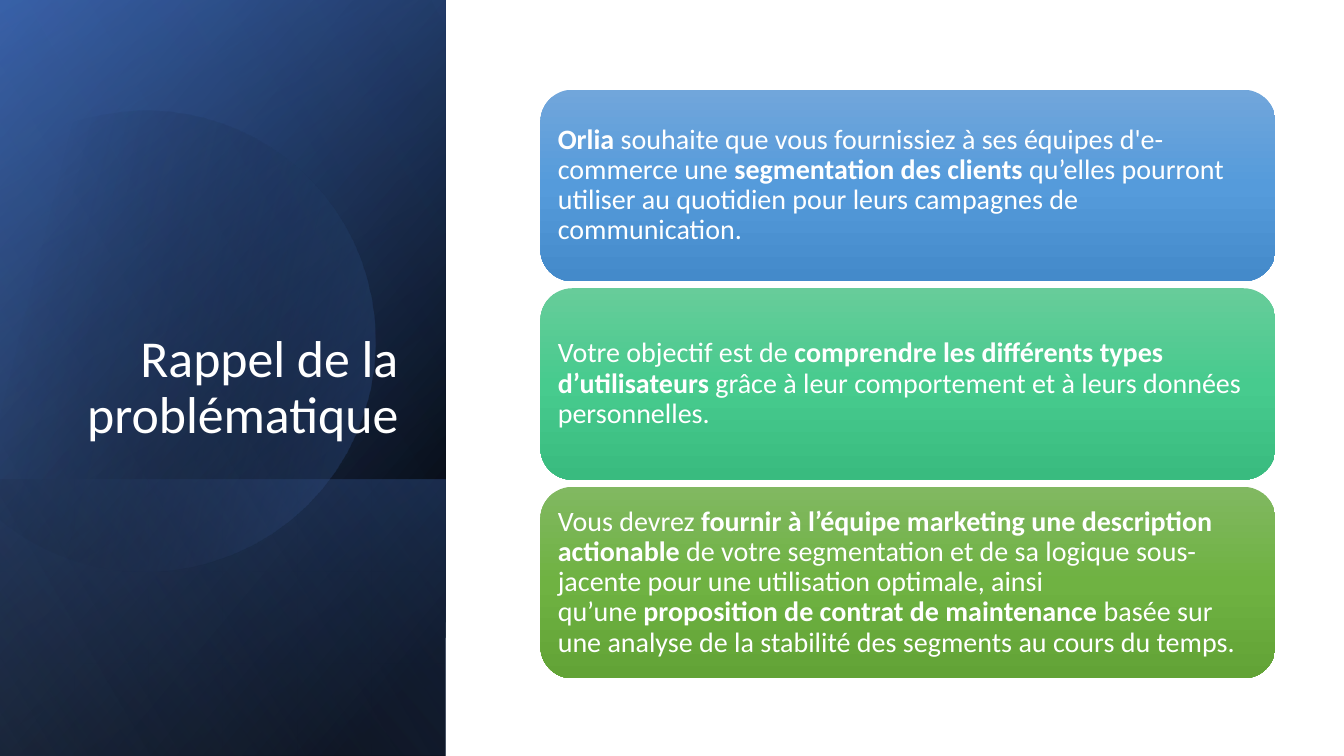
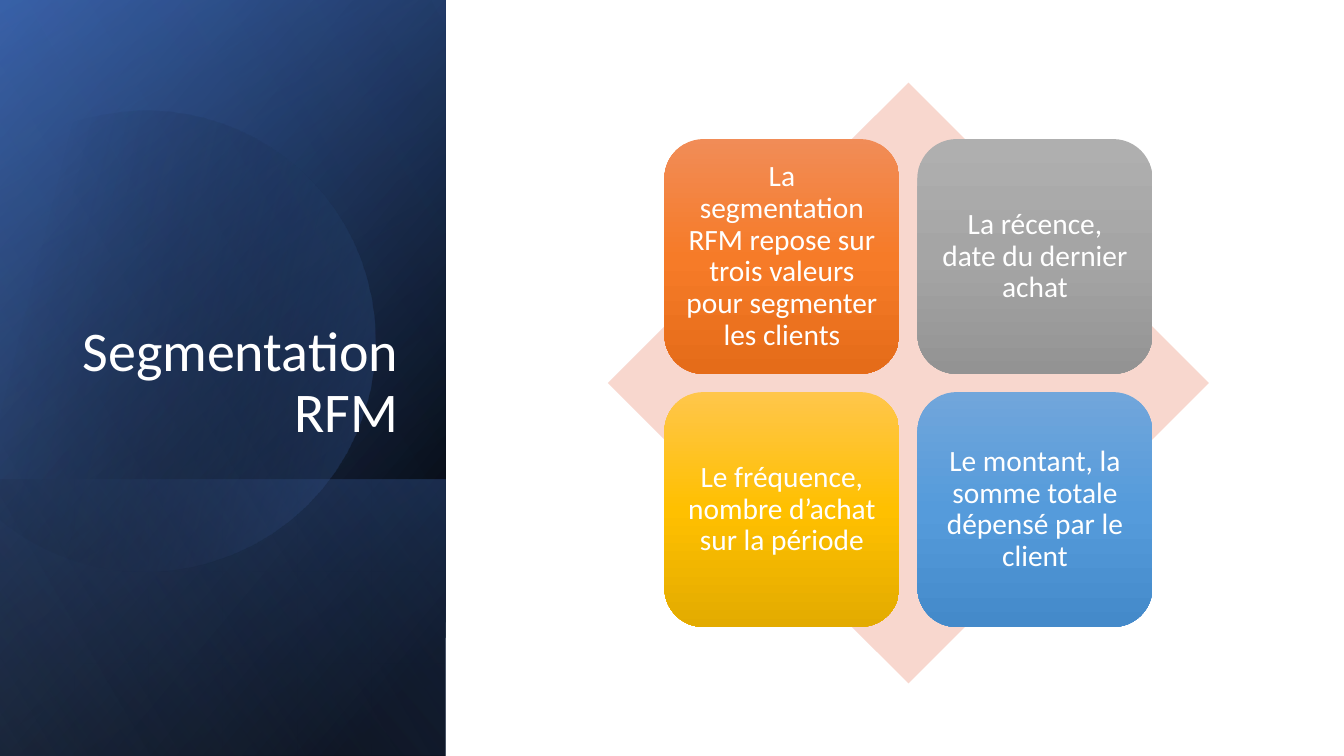
from math import cos, radians, sin

from lxml.etree import SubElement
from pptx import Presentation
from pptx.dml.color import RGBColor
from pptx.enum.shapes import MSO_SHAPE as Shape
from pptx.enum.text import MSO_ANCHOR as Anchor, MSO_AUTO_SIZE as AutoSize, PP_ALIGN as Align
from pptx.oxml.ns import qn
from pptx.util import Inches, Pt

# Content: plain and bold runs; a no-break space joins neighbouring runs
PROBLEM_CARDS = [
    ("blue", [("Orlia", True),
              ("souhaite que vous fournissiez à ses équipes d'e-commerce une", False),
              ("segmentation des clients", True),
              ("qu’elles pourront utiliser au quotidien pour leurs campagnes de communication.", False)]),
    ("mint", [("Votre objectif est de", False),
              ("comprendre les différents types d’utilisateurs", True),
              ("grâce à leur comportement et à leurs données personnelles.", False)]),
    ("green", [("Vous devrez", False),
               ("fournir à l’équipe marketing une description actionable", True),
               ("de votre segmentation et de sa logique sous-jacente pour une utilisation optimale, ainsi qu’une", False),
               ("proposition de contrat de maintenance", True),
               ("basée sur une analyse de la stabilité des segments au cours du temps.", False)]),
]
RFM_CARDS = [
    ("orange", "La segmentation RFM repose sur trois valeurs pour segmenter les clients"),
    ("grey", "La récence, date du dernier achat"),
    ("yellow", "Le fréquence, nombre d’achat sur la période"),
    ("blue", "Le montant, la somme totale dépensé par le client"),
]

# Shared style
FONT = "Calibri"
NO_BREAK_SPACE = chr(160)
COLORS = {"white": "FFFFFF", "black": "000000", "navy": "2F5597",
          "accent": "4472C4", "pale": "8FAADC", "diamond": "F8D7CE"}
CARD_GRADIENTS = {
    "blue": ("71A6DB", "559BDB", "448ACA"),
    "mint": ("67CC9A", "47CB8E", "39BB7F"),
    "green": ("81B861", "6FB242", "62A336"),
    "orange": ("F18C57", "F67B28", "E56C19"),
    "grey": ("AFAFAF", "A5A5A5", "939393"),
    "yellow": ("FFC64B", "FFC000", "E3AB00"),
}
SLIDE_WIDTH, SLIDE_HEIGHT = 13.33, 7.5
PANEL_WIDTH = 4.42
FOOT_HEIGHT = 2.74

# Panel layers: height from the bottom, angle, stops (position, colour, opacity)
BACK_LAYERS = [
    (SLIDE_HEIGHT, 50, [(8, "black", 100), (100, "navy", 100)]),
    (SLIDE_HEIGHT, 30, [(0, "black", 0), (99, "accent", 46)]),
    (FOOT_HEIGHT, 130, [(2, "accent", 29), (100, "black", 30)]),
]
FRONT_LAYER = (SLIDE_HEIGHT, 120, [(0, "black", 0), (99, "pale", 11)])

# Disc outline: two-number items are corners, six-number items are curves
DISC_START = (1.49, 1.1)
DISC_OUTLINE = [
    (2.46, 1.12, 3.35, 1.77, 3.63, 2.75), (3.98, 3.97, 3.28, 5.23, 2.07, 5.58),
    (1.31, 5.8, 0.53, 5.61, -0.03, 5.14), (-0.15, 5.03), (-0.15, 1.75), (0, 1.61),
    (0.23, 1.42, 0.5, 1.28, 0.8, 1.19), (1.03, 1.13, 1.26, 1.1, 1.49, 1.1),
]
DISC_CENTER = (1.58, 3.35)
DISC_ROTATION = 343.9
DISC_STOPS = [(29, "black", 0), (100, "accent", 43)]


def fill_gradient(shape, stops, angle):
    """Fill with a linear gradient; stops are (percent, hex, opacity)."""
    shape.fill.background()
    properties = shape._element.spPr
    empty_fill = properties.find(qn("a:noFill"))
    gradient = SubElement(properties, qn("a:gradFill"), rotWithShape="1")
    stop_list = SubElement(gradient, qn("a:gsLst"))
    for position, color, opacity in stops:
        stop = SubElement(stop_list, qn("a:gs"), pos=str(position * 1000))
        rgb = SubElement(stop, qn("a:srgbClr"), val=color)
        if opacity < 100:
            SubElement(rgb, qn("a:alpha"), val=str(opacity * 1000))
    SubElement(gradient, qn("a:lin"), ang=str(angle * 60000), scaled="0")
    properties.replace(empty_fill, gradient)


def named(stops):
    return [(position, COLORS[color], opacity) for position, color, opacity in stops]


def add_plain_shape(slide, kind, left, top, width, height):
    shape = slide.shapes.add_shape(kind, *map(Inches, (left, top, width, height)))
    shape.shadow.inherit = False
    shape.line.fill.background()
    return shape


def write(shape, runs, size, align, anchor):
    frame = shape.text_frame
    frame.word_wrap = True
    frame.auto_size = AutoSize.NONE
    frame.vertical_anchor = anchor
    paragraph = frame.paragraphs[0]
    paragraph.alignment = align
    paragraph.line_spacing = 0.9
    for text, bold in runs:
        run = paragraph.add_run()
        run.text = text
        run.font.name = FONT
        run.font.size = Pt(size)
        run.font.bold = bold
        run.font.color.rgb = RGBColor.from_string(COLORS["white"])


# Side panel
def add_layer(slide, height, angle, stops):
    """A quarter-turned, mirrored rectangle standing on the slide's bottom."""
    left = (PANEL_WIDTH - height) / 2
    top = SLIDE_HEIGHT - (height + PANEL_WIDTH) / 2
    layer = add_plain_shape(slide, Shape.RECTANGLE, left, top, height, PANEL_WIDTH)
    layer.rotation = 90
    layer._element.spPr.xfrm.set("flipH", "1")
    fill_gradient(layer, named(stops), angle)


def disc_points(steps=16):
    points = [DISC_START]
    for item in DISC_OUTLINE:
        if len(item) == 2:
            points.append(item)
            continue
        corners = [points[-1], item[:2], item[2:4], item[4:]]
        for step in range(1, steps + 1):
            t = step / steps
            weights = ((1 - t) ** 3, 3 * t * (1 - t) ** 2, 3 * t * t * (1 - t), t ** 3)
            points.append(tuple(sum(w * corner[axis] for w, corner in zip(weights, corners))
                                for axis in (0, 1)))
    return points


def add_disc(slide):
    """Turn the outline back, so the shape's own rotation restores it."""
    turn = radians(360 - DISC_ROTATION)
    center_x, center_y = DISC_CENTER
    points = []
    for x, y in disc_points():
        dx, dy = x - center_x, y - center_y
        points.append((Inches(center_x + dx * cos(turn) - dy * sin(turn)),
                       Inches(center_y + dx * sin(turn) + dy * cos(turn))))
    builder = slide.shapes.build_freeform(*points[0])
    builder.add_line_segments(points[1:], close=True)
    disc = builder.convert_to_shape()
    disc.shadow.inherit = False
    disc.line.fill.background()
    disc.rotation = DISC_ROTATION
    fill_gradient(disc, named(DISC_STOPS), 30)


def add_titled_slide(presentation, text, size):
    slide = presentation.slides.add_slide(presentation.slide_layouts[5])
    for layer in BACK_LAYERS:
        add_layer(slide, *layer)
    add_disc(slide)
    add_layer(slide, *FRONT_LAYER)
    title = slide.shapes.title
    title.left, title.top, title.width, title.height = map(Inches, (0.64, 1.84, 3.41, 2.62))
    write(title, [(text, False)], size, Align.RIGHT, Anchor.BOTTOM)
    slide.shapes._spTree.append(title._element)  # bring in front of the panel
    return slide


# Cards
def add_card(slide, box, color, runs, size, align, inset):
    card = add_plain_shape(slide, Shape.ROUNDED_RECTANGLE, *box)
    stops = zip((0, 50, 100), CARD_GRADIENTS[color], (100, 100, 100))
    fill_gradient(card, stops, 90)
    frame = card.text_frame
    frame.margin_left = frame.margin_right = Inches(inset)
    frame.margin_top = frame.margin_bottom = Inches(inset)
    write(card, runs, size, align, Anchor.MIDDLE)


def join_runs(runs):
    """Put a no-break space on the plain side of each change of weight."""
    last = len(runs) - 1
    for index, (text, bold) in enumerate(runs):
        if not bold:
            text = (NO_BREAK_SPACE * (index > 0)) + text + (NO_BREAK_SPACE * (index < last))
        yield text, bold


def build_problem_slide(presentation):
    slide = add_titled_slide(presentation, "Rappel de la problématique", 37)
    left, top, width, height, gap = 5.36, 0.89, 7.29, 1.9, 0.07
    for row, (color, runs) in enumerate(PROBLEM_CARDS):
        box = (left, top + row * (height + gap), width, height)
        add_card(slide, box, color, join_runs(runs), 20, Align.LEFT, 0.08)


def build_rfm_slide(presentation):
    slide = add_titled_slide(presentation, "Segmentation RFM", 40)
    left, top, span = 6.03, 0.82, 5.96
    diamond = add_plain_shape(slide, Shape.DIAMOND, left, top, span, span)
    diamond.fill.solid()
    diamond.fill.fore_color.rgb = RGBColor.from_string(COLORS["diamond"])
    side, gap = 2.33, 0.18
    margin = (span - 2 * side - gap) / 2
    for index, (color, text) in enumerate(RFM_CARDS):
        row, column = divmod(index, 2)
        box = (left + margin + column * (side + gap), top + margin + row * (side + gap), side, side)
        add_card(slide, box, color, [(text, False)], 21, Align.CENTER, 0.09)


def main():
    presentation = Presentation()
    presentation.slide_width = Inches(SLIDE_WIDTH)
    presentation.slide_height = Inches(SLIDE_HEIGHT)
    build_problem_slide(presentation)
    build_rfm_slide(presentation)
    presentation.save("out.pptx")


if __name__ == "__main__":
    main()
